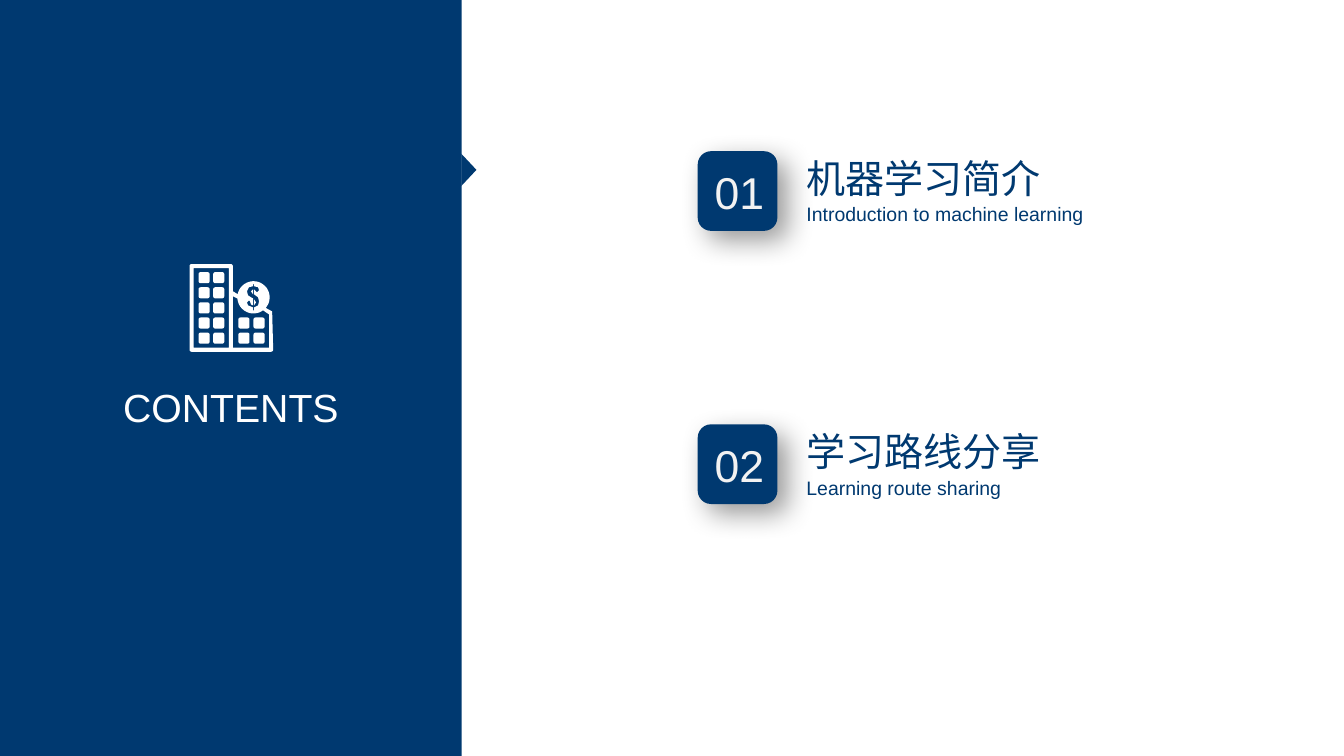
import math

import lxml.etree
import pptx
import pptx.dml.color
import pptx.enum.shapes
import pptx.enum.text
import pptx.oxml.ns
import pptx.util

Inches = pptx.util.Inches
SHAPES = pptx.enum.shapes.MSO_SHAPE
NAVY, WHITE, PALE = "003970", "FFFFFF", "F2F2F2"
CHAPTERS = [
    ("01", "机器学习简介", "Introduction to machine learning", 2.99),
    ("02", "学习路线分享", "Learning route sharing", 2.16),
]


def colour(value):
    """Turn a hex string into a colour."""
    return pptx.dml.color.RGBColor.from_string(value)


def paint(shape, fill):
    """Give a shape a flat fill without line or shadow."""
    shape.shadow.inherit = False
    shape.fill.solid()
    shape.fill.fore_color.rgb = colour(fill)
    shape.line.fill.background()
    return shape


def add_block(page, kind, box, fill):
    """Add a flat preset shape in the box."""
    return paint(page.shapes.add_shape(kind, *map(Inches, box)), fill)


def write(shape, text, size, ink, wrap=True):
    """Fill a text shape with one formatted line."""
    frame = shape.text_frame
    frame.text = text
    frame.word_wrap = wrap
    frame.auto_size = pptx.enum.text.MSO_AUTO_SIZE.SHAPE_TO_FIT_TEXT
    frame.vertical_anchor = pptx.enum.text.MSO_ANCHOR.TOP
    font = frame.paragraphs[0].runs[0].font
    font.name = "Arial"
    font.size = pptx.util.Pt(size)
    font.color.rgb = colour(ink)


def add_label(page, box, text, size, ink, wrap=True):
    """Add a text box with one line."""
    write(page.shapes.add_textbox(*map(Inches, box)), text, size, ink, wrap)


def cast_shadow(shape):
    """Add a soft shadow towards the lower right."""
    effects = shape.element.spPr.find(pptx.oxml.ns.qn("a:effectLst"))
    shadow = lxml.etree.SubElement(
        effects, pptx.oxml.ns.qn("a:outerShdw"),
        blurRad=str(pptx.util.Pt(20)), dist=str(pptx.util.Pt(10)),
        dir="2700000", algn="tl", rotWithShape="0")
    black = lxml.etree.SubElement(shadow, pptx.oxml.ns.qn("a:srgbClr"), val="000000")
    lxml.etree.SubElement(black, pptx.oxml.ns.qn("a:alpha"), val="40000")


def arc(x, y, radius, start, end, steps=24):
    """List points along a clockwise arc given in degrees."""
    angles = [math.radians(start + (end - start) * i / steps) for i in range(steps + 1)]
    return [(x + radius * math.cos(a), y + radius * math.sin(a)) for a in angles]


def window(x, y, side=11, radius=2):
    """List the points of a rounded square."""
    near, far = radius, side - radius
    corners = [(far, far, 0), (near, far, 90), (near, near, 180), (far, near, 270)]
    return [point for dx, dy, start in corners
            for point in arc(x + dx, y + dy, radius, start, start + 90, 4)]


def building_contours():
    """List the contours of the building and coin in hundredths of an inch."""
    coin = (63.5, 33, 16)
    silhouette = [*arc(2, 2, 2, 180, 270, 4), *arc(41, 2, 2, 270, 360, 4),
                  (43, 27), (48, 30), *arc(*coin, 191, 401), (82, 47),
                  *arc(81, 85, 2, 0, 90, 4), *arc(2, 85, 2, 90, 180, 4)]
    tower = [(4, 4), (39, 4), (39, 83), (4, 83)]
    annex = [(43, 32), (43, 83), (79, 83), (79, 50), *arc(*coin, 54, 176)]
    dollar = [(63, 20), (63, 22), (59, 23), (57, 27), (58, 31), (61, 33), (63, 34),
              (63, 41), (61, 40), (60, 37), (59, 36), (57, 38), (58, 41), (63, 43),
              (63, 46), (64, 46), (64, 43), (68, 41), (69, 37), (68, 33), (64, 30),
              (64, 25), (65, 26), (67, 28), (69, 26), (68, 23), (64, 22), (64, 20)]
    loops = [[(63, 25), (61, 27), (63, 30)], [(64, 35), (66, 38), (64, 41)]]
    windows = [window(x, 8 + 15 * row)
               for columns, rows in (((9, 23.5), range(5)), ((48.5, 63.5), (3, 4)))
               for x in columns for row in rows]
    return [silhouette, tower, annex, dollar, *loops, *windows]


def draw_building(page, left, top):
    """Draw the building icon as one outline."""
    contours = [[(x * 10, y * 10) for x, y in points] for points in building_contours()]
    builder = page.shapes.build_freeform(*contours[0][0], scale=Inches(1) / 1000)
    builder.add_line_segments(contours[0][1:])
    for points in contours[1:]:
        builder.move_to(*points[0])
        builder.add_line_segments(points[1:])
    paint(builder.convert_to_shape(Inches(left), Inches(top)), WHITE)


def draw_panel(page, left, top, width, height):
    """Draw the side panel with its pointer, icon and title."""
    add_block(page, SHAPES.RECTANGLE, (left, top, width, height), NAVY)
    pointer = add_block(page, SHAPES.ISOSCELES_TRIANGLE,
                        (left + width - 0.09, top + 1.61, 0.32, 0.15), NAVY)
    pointer.rotation = 90
    draw_building(page, left + 1.88, top + 2.62)
    title = page.shapes.title
    title.left, title.top = Inches(left + 1.07), Inches(top + 3.75)
    title.width, title.height = Inches(2.44), Inches(0.57)
    write(title, "CONTENTS", 28, WHITE)
    title.text_frame.paragraphs[0].alignment = pptx.enum.text.PP_ALIGN.CENTER
    title.element.getparent().append(title.element)


def draw_chapter(page, left, top, number, heading, subtitle, subtitle_width):
    """Draw one numbered chapter entry."""
    tile = add_block(page, SHAPES.ROUNDED_RECTANGLE, (left, top, 0.79, 0.79), NAVY)
    cast_shadow(tile)
    add_label(page, (left + 0.07, top + 0.09, 0.7, 0.64), number, 31.8, PALE, False)
    add_label(page, (left + 0.98, top + 0.46, subtitle_width, 0.33),
              subtitle, 13.9, NAVY, False)
    add_label(page, (left + 0.98, top - 0.02, 3.15, 0.57), heading, 27.9, NAVY)


def main():
    """Build and save the contents slide."""
    deck = pptx.Presentation()
    deck.slide_width, deck.slide_height = Inches(13.33), Inches(7.5)
    page = deck.slides.add_slide(deck.slide_layouts[5])
    draw_panel(page, 0, 0, 4.58, 7.5)
    for index, chapter in enumerate(CHAPTERS):
        draw_chapter(page, 6.92, 1.5 + 2.71 * index, *chapter)
    deck.save("out.pptx")


if __name__ == "__main__":
    main()
